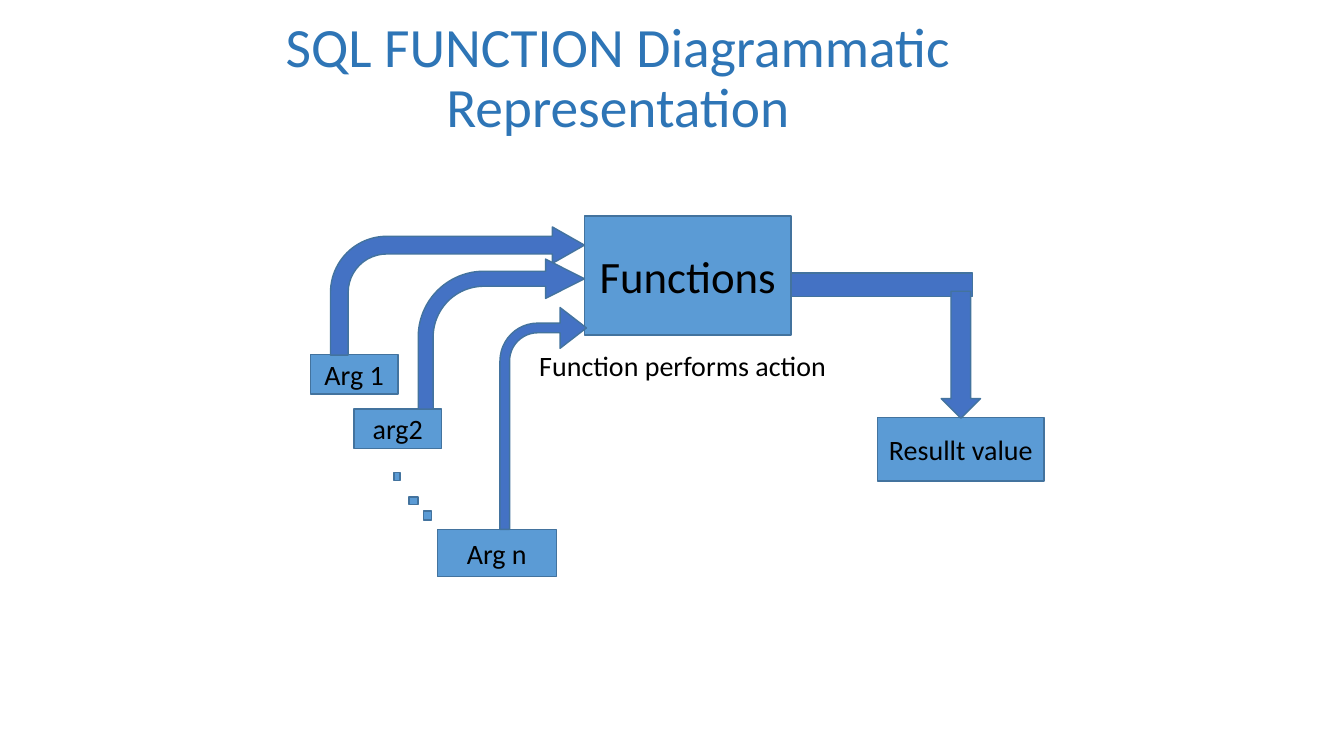
from pptx import Presentation, util as u
from pptx.dml.color import RGBColor
from pptx.enum import shapes, text

BOX_BLUE = RGBColor(0x5B, 0x9B, 0xD5)
ARROW_BLUE = RGBColor(0x44, 0x72, 0xC4)
OUTLINE = RGBColor(0x43, 0x73, 0x9E)
TITLE_BLUE = RGBColor(0x2E, 0x75, 0xB6)
BLACK = RGBColor(0, 0, 0)
KIND = shapes.MSO_SHAPE

# Content: places are left, top, width, height in centimetres
TITLE = ("SQL FUNCTION Diagrammatic Representation", (5.51, 0.89, 20.12, 2.24))
CAPTION = ("Function performs action", (13.34, 8.66, 7.8, 1.12))
BOXES = [
    ("Functions", 32, (14.73, 5.44, 5.21, 3.0)),
    ("Arg 1", 20, (7.82, 8.94, 2.21, 0.99)),
    ("arg2", 20, (8.92, 10.31, 2.21, 0.99)),
    ("Arg n", 20, (11.02, 13.34, 3.0, 1.19)),
    ("Resullt value", 20, (22.12, 10.52, 4.19, 1.6)),
]
DOTS = [
    (9.93, 11.91, 0.15, 0.2),
    (10.31, 12.52, 0.23, 0.2),
    (10.67, 12.88, 0.2, 0.23),
]
ARROWS = [
    (KIND.BENT_ARROW, (8.33, 5.72, 6.4, 3.23), (0.138, 0.142, 0.25, 0.438)),
    (KIND.BENT_ARROW, (10.54, 6.53, 4.19, 3.78), (0.1, 0.131, 0.259, 0.438)),
    (KIND.BENT_ARROW, (12.6, 7.75, 2.18, 5.59), (0.112, 0.236, 0.305, 0.438)),
    (KIND.MATH_MINUS, (19.13, 5.92, 6.2, 2.51), ()),
    (KIND.DOWN_ARROW, (23.72, 7.34, 0.99, 3.2), ()),
]

presentation = Presentation()
presentation.slide_width = u.Cm(33.87)
presentation.slide_height = u.Cm(19.05)
slide = presentation.slides.add_slide(presentation.slide_layouts[6])


def write(shape, words, size=20, color=BLACK, align=text.PP_ALIGN.CENTER,
          anchor=text.MSO_ANCHOR.MIDDLE, spacing=1.0):
    frame = shape.text_frame
    frame.word_wrap = True
    frame.vertical_anchor = anchor
    paragraph = frame.paragraphs[0]
    paragraph.text = words
    paragraph.alignment = align
    paragraph.line_spacing = spacing
    paragraph.font.name = "Calibri"
    paragraph.font.size = u.Pt(size)
    paragraph.font.color.rgb = color


def add_text_box(place):
    return slide.shapes.add_textbox(*map(u.Cm, place))


def add_block(kind, place, fill, adjustments=()):
    shape = slide.shapes.add_shape(kind, *map(u.Cm, place))
    shape.shadow.inherit = False
    shape.fill.solid()
    shape.fill.fore_color.rgb = fill
    shape.line.color.rgb = OUTLINE
    shape.line.width = u.Pt(1)
    for index, value in enumerate(adjustments):
        shape.adjustments[index] = value
    return shape


# Title
words, place = TITLE
write(add_text_box(place), words, size=39.6, color=TITLE_BLUE, spacing=0.9)

# Labelled boxes and the dots between arguments
for words, size, place in BOXES:
    write(add_block(KIND.RECTANGLE, place, BOX_BLUE), words, size=size)
for place in DOTS:
    add_block(KIND.RECTANGLE, place, BOX_BLUE)

# Flow into and out of the function
for kind, place, adjustments in ARROWS:
    add_block(kind, place, ARROW_BLUE, adjustments)

# Caption
words, place = CAPTION
write(add_text_box(place), words, align=text.PP_ALIGN.LEFT,
      anchor=text.MSO_ANCHOR.TOP)

presentation.save("out.pptx")
